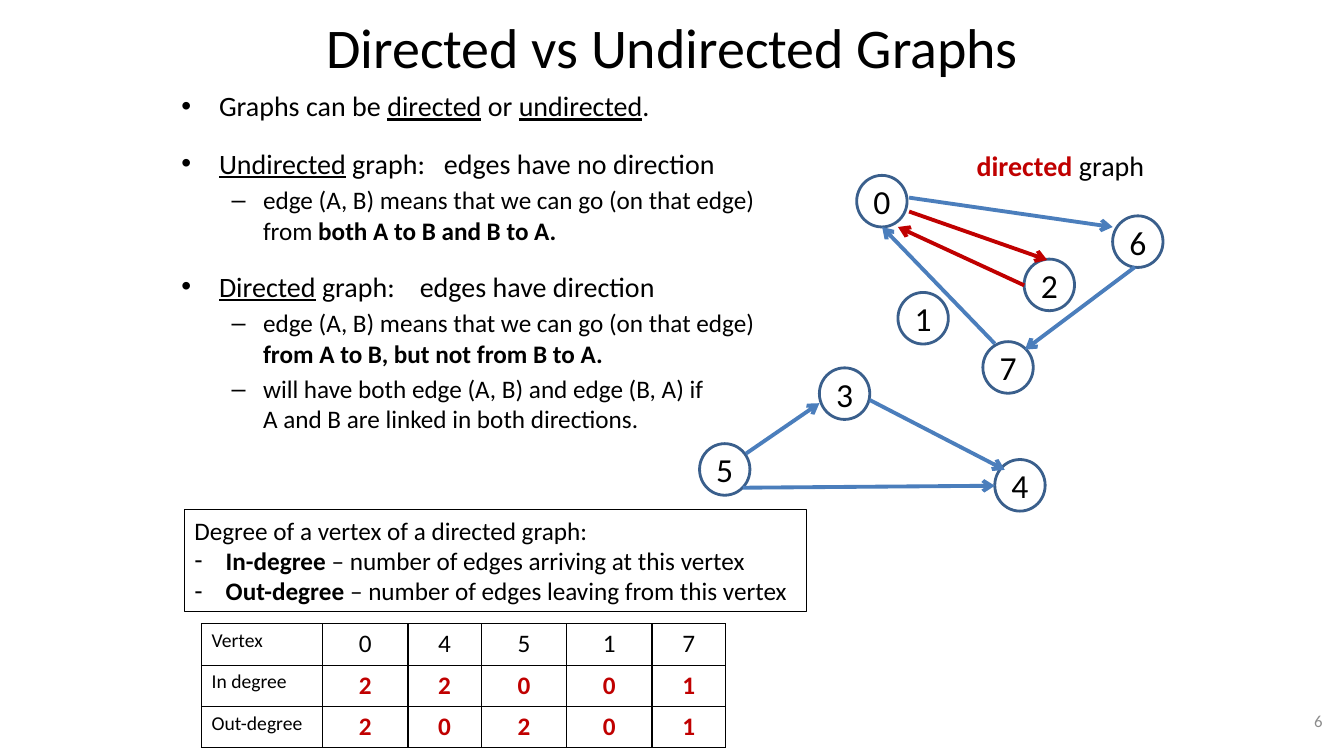
from lxml import etree
from pptx import Presentation
from pptx.dml.color import RGBColor
from pptx.enum.shapes import MSO_CONNECTOR, MSO_SHAPE
from pptx.enum.text import MSO_ANCHOR, PP_ALIGN
from pptx.oxml.ns import qn
from pptx.util import Cm, Pt

LEFT, CENTER, RIGHT = PP_ALIGN.LEFT, PP_ALIGN.CENTER, PP_ALIGN.RIGHT
TOP, MIDDLE = MSO_ANCHOR.TOP, MSO_ANCHOR.MIDDLE
ELLIPSE, STRAIGHT = MSO_SHAPE.OVAL, MSO_CONNECTOR.STRAIGHT

COLORS = {
    "black": "000000",
    "gray": "8C8C8C",
    "red": "C00000",
    "edge": "4B7EBC",
    "outline": "3A5F8C",
}
FONT = "Calibri"
NODE_WIDTH, NODE_HEIGHT = 1.27, 1.3
NODES = {
    "0": (21.59, 4.42),
    "1": (22.63, 7.37),
    "7": (24.77, 8.61),
    "2": (25.81, 6.53),
    "5": (17.63, 11.18),
    "3": (20.65, 9.27),
    "4": (25.07, 11.58),
    "6": (28.04, 5.44),
}
EDGES = [
    ((18.8, 11.43), (20.65, 10.16), "edge"),
    ((21.92, 10.08), (25.32, 11.84), "edge"),
    ((18.72, 12.29), (25.07, 12.24), "edge"),
    ((22.91, 4.98), (28.04, 5.72), "edge"),
    ((28.6, 6.73), (25.83, 8.81), "edge"),
    ((25.07, 8.66), (22.23, 5.72), "edge"),
    ((25.81, 7.19), (22.63, 5.72), "red"),
    ((22.91, 5.33), (26.39, 6.55), "red"),
]
DEGREES = [
    ("Vertex", "0", "4", "5", "1", "7"),
    ("In degree", "2", "2", "0", "0", "1"),
    ("Out-degree", "2", "0", "2", "0", "1"),
]
COLUMN_WIDTHS = [3.05, 2.15, 1.85, 2.15, 2.15, 1.85]
ROW_HEIGHT = 1.04

MAIN = {"size": 20, "bullet": "•", "indent": (0.95, -0.95)}
SECTION = {**MAIN, "before": 17}
DETAIL = {"size": 18, "bullet": "–", "indent": (2.06, -0.79), "before": 3.6}
DEGREE = {"size": 18, "bullet": "-", "indent": (0.79, -0.79)}
UNDERLINE = {"underline": True}
BOLD = {"bold": True}
BODY = [
    (["Graphs can be ", ("directed", UNDERLINE), " or ",
      ("undirected", UNDERLINE), "."], {**MAIN, "before": 4}),
    ([("Undirected", UNDERLINE), " graph:\tedges have no direction"],
     {**SECTION, "tab": 6.62}),
    (["edge (A, B) means that we can go (on that edge) from ",
      ("both A to B and B to A.", BOLD)], DETAIL),
    ([("Directed", UNDERLINE), " graph:\tedges have direction"],
     {**SECTION, "tab": 6.01}),
    (["edge (A, B) means that we can go (on that edge) ",
      ("from A to B, but not from B to A.", BOLD)], DETAIL),
    (["will have both edge (A, B) and edge (B, A) if\n"
      "A and B are linked in both directions."], DETAIL),
]
DEGREE_NOTES = [
    (["Degree of a vertex of a directed graph:"], {"size": 18}),
    ([("In-degree", BOLD), " – number of edges arriving at this vertex"], DEGREE),
    ([("Out-degree", BOLD), " – number of edges leaving from this vertex"], DEGREE),
]


def color(name):
    """Return the named colour."""
    return RGBColor.from_string(COLORS[name])


def add_span(para, text, size=18, tint="black", bold=False, underline=False):
    """Append formatted text, breaking lines at newlines."""
    for index, line in enumerate(text.split("\n")):
        if index:
            para.add_line_break()
        span = para.add_run()
        span.text = line
        font = span.font
        font.name, font.size = FONT, Pt(size)
        font.bold, font.underline = bold, underline
        font.color.rgb = color(tint)


def fill_para(para, spans, align=LEFT, before=0, bullet=None, indent=None,
              tab=None, **style):
    """Write spans into a paragraph with bullet, indent and tab stop."""
    para.alignment, para.space_before = align, Pt(before)
    properties = para._p.get_or_add_pPr()
    if bullet:
        properties.set("marL", str(Cm(indent[0])))
        properties.set("indent", str(Cm(indent[1])))
        etree.SubElement(properties, qn("a:buFont"), typeface="Arial")
        etree.SubElement(properties, qn("a:buChar"), char=bullet)
    if tab:
        stops = etree.SubElement(properties, qn("a:tabLst"))
        etree.SubElement(stops, qn("a:tab"), pos=str(Cm(tab)), algn="l")
    for span in spans:
        text, extra = (span, {}) if isinstance(span, str) else span
        add_span(para, text, **{**style, **extra})


def fill_frame(frame, paras, anchor=TOP, wrap=True):
    """Write a list of paragraphs into a text frame."""
    frame.word_wrap, frame.vertical_anchor = wrap, anchor
    for index, (spans, style) in enumerate(paras):
        para = frame.add_paragraph() if index else frame.paragraphs[0]
        fill_para(para, spans, **style)


def add_text(page, place, paras, **layout):
    """Add a text box at left, top, width, height."""
    box = page.shapes.add_textbox(*map(Cm, place))
    fill_frame(box.text_frame, paras, **layout)
    return box


def add_node(page, label, left, top):
    """Add a graph vertex."""
    node = page.shapes.add_shape(
        ELLIPSE, Cm(left), Cm(top), Cm(NODE_WIDTH), Cm(NODE_HEIGHT))
    node.name = f"Vertex {label}"
    node.shadow.inherit = False
    node.fill.background()
    node.line.color.rgb, node.line.width = color("outline"), Pt(2)
    frame = node.text_frame
    frame.margin_left = frame.margin_right = 0
    frame.margin_top = frame.margin_bottom = 0
    fill_frame(frame, [([label], {"size": 24, "align": CENTER})], anchor=MIDDLE)


def add_edge(page, start, end, tint):
    """Add an arrow between two points."""
    edge = page.shapes.add_connector(STRAIGHT, *map(Cm, start + end))
    edge.line.color.rgb, edge.line.width = color(tint), Pt(2.75)
    etree.SubElement(edge.line._get_or_add_ln(), qn("a:tailEnd"), type="arrow")
    etree.SubElement(edge._element.spPr, qn("a:effectLst"))


def add_borders(cell):
    """Draw black borders on every side of a cell."""
    properties = cell._tc.get_or_add_tcPr()
    for index, side in enumerate(("lnL", "lnR", "lnT", "lnB")):
        line = etree.Element(qn(f"a:{side}"), w=str(Pt(1)))
        fill = etree.SubElement(line, qn("a:solidFill"))
        etree.SubElement(fill, qn("a:srgbClr"), val=COLORS["black"])
        properties.insert(index, line)


def add_degree_table(page, left, top):
    """Add the table of vertex degrees."""
    table = page.shapes.add_table(
        len(DEGREES), len(COLUMN_WIDTHS), Cm(left), Cm(top),
        Cm(sum(COLUMN_WIDTHS)), Cm(ROW_HEIGHT * len(DEGREES))).table
    table.first_row = table.horz_banding = False
    for column, width in zip(table.columns, COLUMN_WIDTHS):
        column.width = Cm(width)
    for row, values in enumerate(DEGREES):
        table.rows[row].height = Cm(ROW_HEIGHT)
        for column, value in enumerate(values):
            cell = table.cell(row, column)
            cell.fill.background()
            add_borders(cell)
            style = {"size": 14}
            if column:
                style = {"size": 18, "align": CENTER, "bold": row > 0,
                         "tint": "red" if row else "black"}
            fill_para(cell.text_frame.paragraphs[0], [value], **style)


def main():
    """Build and save the slide."""
    deck = Presentation()
    deck.slide_width, deck.slide_height = Cm(33.87), Cm(19.05)
    page = deck.slides.add_slide(deck.slide_layouts[6])
    add_text(page, (5.51, 0.2, 22.86, 1.9),
             [(["Directed vs Undirected Graphs"], {"size": 40, "align": CENTER})],
             anchor=MIDDLE)
    add_text(page, (4.32, 2.11, 14.96, 9.32), BODY)
    add_text(page, (25.68, 17.65, 7.9, 1.02),
             [(["6"], {"size": 12, "align": RIGHT, "tint": "gray"})], anchor=MIDDLE)
    for label, (left, top) in NODES.items():
        add_node(page, label, left, top)
    for start, end, tint in EDGES:
        add_edge(page, start, end, tint)
    add_text(page, (24.36, 3.61, 4.75, 1.12),
             [([("directed", {"bold": True, "tint": "red"}), " graph"], {"size": 20})],
             wrap=False)
    notes = add_text(page, (4.65, 12.85, 15.67, 2.57), DEGREE_NOTES)
    notes.line.color.rgb, notes.line.width = color("black"), Pt(0.75)
    add_degree_table(page, 5.08, 15.72)
    deck.save("out.pptx")


if __name__ == "__main__":
    main()
